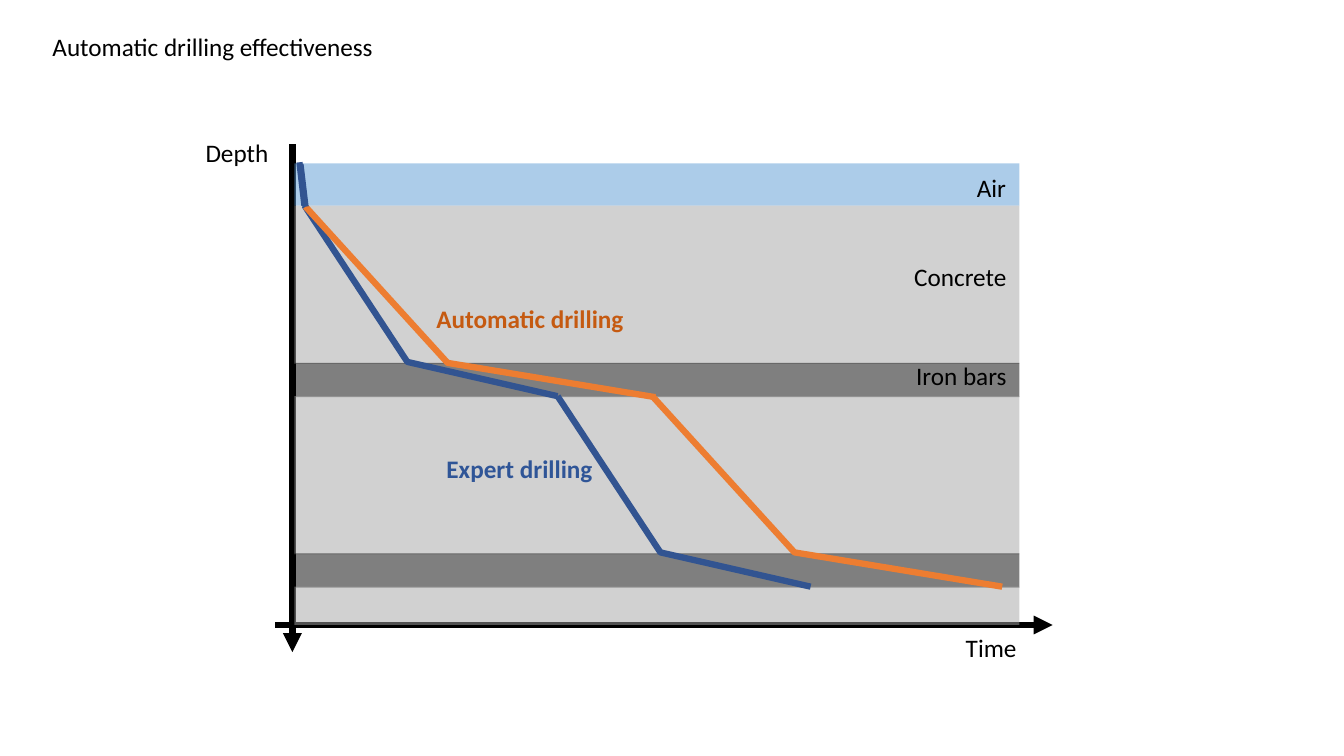
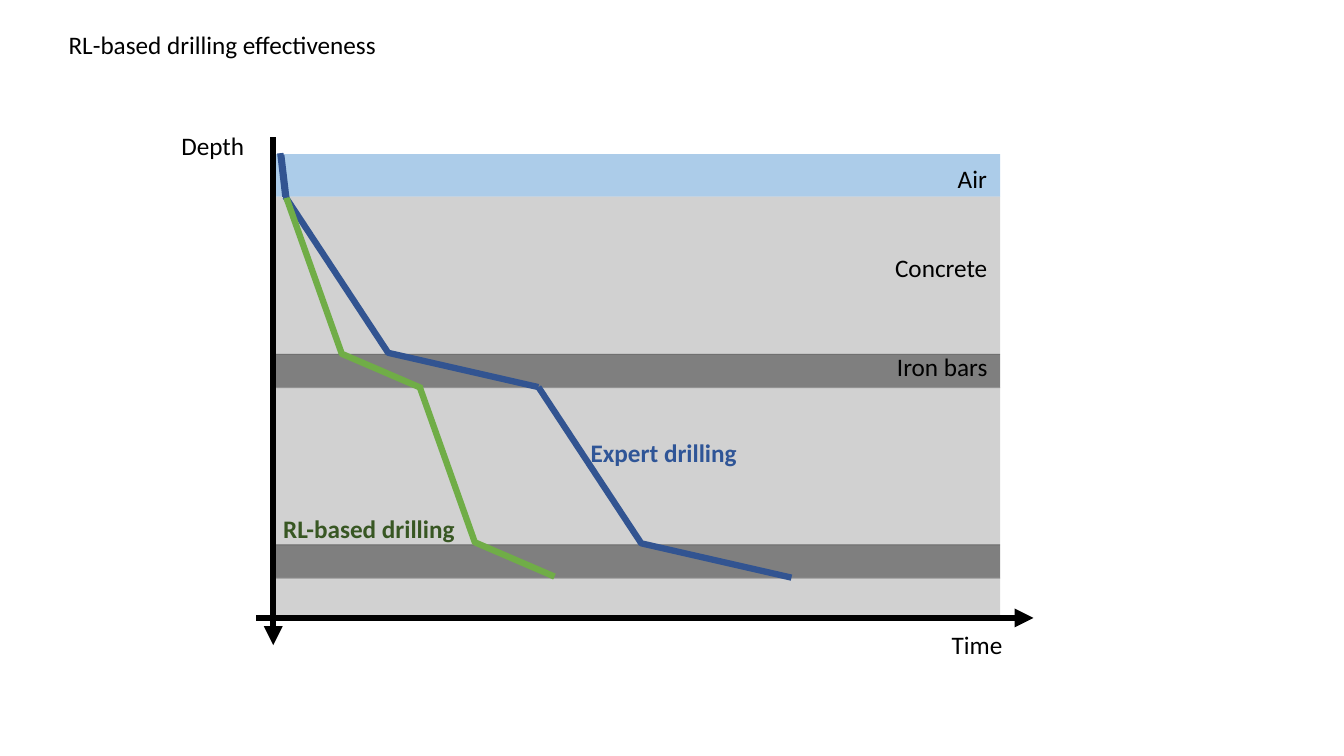
from dataclasses import dataclass
from typing import NamedTuple

from lxml.etree import SubElement
from pptx import Presentation
from pptx.dml.color import RGBColor
from pptx.enum.shapes import MSO_CONNECTOR, MSO_SHAPE
from pptx.enum.text import MSO_ANCHOR, MSO_AUTO_SIZE, PP_ALIGN
from pptx.oxml.ns import qn
from pptx.slide import Slide
from pptx.text.text import TextFrame
from pptx.util import Inches, Pt


# Theme
@dataclass(frozen=True)
class Theme:
    font: str = "Calibri"
    text_size: float = 18
    line_width: float = 4.5
    opacity: int = 50
    ink: str = "000000"
    air: str = "5B9BD5"
    concrete: str = "A5A5A5"
    iron: str = "000000"
    expert: str = "325491"
    expert_text: str = "2F5597"
    automatic: str = "ED7D31"
    automatic_text: str = "C55A11"
    learned: str = "70AD47"
    learned_text: str = "385723"


THEME = Theme()


class Point(NamedTuple):
    x: float
    y: float


class Layer(NamedTuple):
    top: float
    height: float
    color: str


class Label(NamedTuple):
    text: str
    at: Point
    width: float
    color: str = THEME.ink
    bold: bool = False
    align: PP_ALIGN = PP_ALIGN.LEFT


class Track(NamedTuple):
    """A drilling curve: where each run starts, and the time spent per material."""
    color: str
    entry: Point
    runs: tuple[Point, Point]
    concrete_time: float
    iron_time: float


@dataclass(frozen=True)
class DrillingChart:
    title: Label
    origin: Point
    tracks: tuple[Track, ...]
    labels: tuple[Label, ...]
    axis_drop: float = 0
    axes_in_front: bool = False


# Ground section, measured from the top left corner of the plot
PLOT_WIDTH = 7.19
LABEL_HEIGHT = 0.4
CONCRETE_DEPTH, IRON_DEPTH = 1.55, 0.34
LAYERS = (
    Layer(0, 0.42, THEME.air),
    Layer(0.42, 1.57, THEME.concrete),
    Layer(1.98, 0.34, THEME.iron),
    Layer(2.31, 1.57, THEME.concrete),
    Layer(3.87, 0.34, THEME.iron),
    Layer(4.2, 0.38, THEME.concrete),
)
LAYER_LABELS = (
    Label("Air", Point(6.67, 0.04), 0.49),
    Label("Concrete", Point(6.04, 0.92), 1.13, align=PP_ALIGN.CENTER),
    Label("Iron bars", Point(6.06, 1.91), 1.11, align=PP_ALIGN.CENTER),
)
AXES = (
    (Point(-0.02, -0.19), Point(-0.02, 4.85)),
    (Point(-0.19, 4.58), Point(7.52, 4.58)),
)

# Drilling curves, measured from the same corner
EXPERT = Track(THEME.expert, Point(0.05, -0.01),
               (Point(0.1, 0.42), Point(2.61, 2.31)), 1.02, 1.49)
AUTOMATIC = Track(THEME.automatic, Point(0.06, 0.01),
                  (Point(0.11, 0.43), Point(3.55, 2.31)), 1.41, 2.06)
LEARNED = Track(THEME.learned, Point(0.06, 0.01),
                (Point(0.11, 0.43), Point(1.43, 2.3)), 0.55, 0.79)

CHARTS = (
    DrillingChart(
        title=Label("Automatic drilling effectiveness", Point(0.42, 0.26), 3.42),
        origin=Point(2.92, 1.62),
        tracks=(EXPERT, AUTOMATIC),
        labels=(
            Label("Time", Point(9.48, 6.22), 0.71),
            Label("Depth", Point(1.94, 1.31), 0.83),
            Label("Expert drilling", Point(4.33, 4.45), 1.66,
                  THEME.expert_text, True),
            Label("Automatic drilling", Point(4.23, 2.96), 2.07,
                  THEME.automatic_text, True),
        ),
    ),
    DrillingChart(
        title=Label("RL-based drilling effectiveness", Point(0.58, 0.24), 3.29),
        origin=Point(2.73, 1.53),
        tracks=(EXPERT, LEARNED),
        labels=(
            Label("Time", Point(9.34, 6.19), 0.71),
            Label("Depth", Point(1.7, 1.24), 0.83),
            Label("Expert drilling", Point(5.76, 4.29), 1.66,
                  THEME.expert_text, True),
            Label("RL-based drilling", Point(2.71, 5.04), 1.93,
                  THEME.learned_text, True),
        ),
        axis_drop=0.02,
        axes_in_front=True,
    ),
)


def shift(point: Point, by: Point) -> Point:
    return Point(point.x + by.x, point.y + by.y)


# Text
def write(frame: TextFrame, label: Label) -> None:
    frame.text = label.text
    frame_format = {"word_wrap": False, "vertical_anchor": MSO_ANCHOR.TOP,
                    "auto_size": MSO_AUTO_SIZE.SHAPE_TO_FIT_TEXT}
    for name, value in frame_format.items():
        setattr(frame, name, value)
    paragraph = frame.paragraphs[0]
    paragraph.alignment = label.align
    font = paragraph.runs[0].font
    font_format = {"name": THEME.font, "size": Pt(THEME.text_size), "bold": label.bold}
    for name, value in font_format.items():
        setattr(font, name, value)
    font.color.rgb = RGBColor.from_string(label.color)


def add_title(slide: Slide, label: Label) -> None:
    title = slide.shapes.title
    place = {"left": label.at.x, "top": label.at.y,
             "width": label.width, "height": LABEL_HEIGHT}
    for name, value in place.items():
        setattr(title, name, Inches(value))
    write(title.text_frame, label)


def add_label(slide: Slide, label: Label, origin: Point = Point(0, 0)) -> None:
    at = shift(label.at, origin)
    box = slide.shapes.add_textbox(Inches(at.x), Inches(at.y),
                                   Inches(label.width), Inches(LABEL_HEIGHT))
    write(box.text_frame, label)


# Layers and lines
def add_layer(slide: Slide, layer: Layer, origin: Point) -> None:
    band = slide.shapes.add_shape(
        MSO_SHAPE.RECTANGLE, Inches(origin.x), Inches(origin.y + layer.top),
        Inches(PLOT_WIDTH), Inches(layer.height))
    band.shadow.inherit = False
    band.line.fill.background()
    band.fill.solid()
    band.fill.fore_color.rgb = RGBColor.from_string(layer.color)
    tint = band._element.spPr.find(qn("a:solidFill"))[0]
    SubElement(tint, qn("a:alpha"), val=str(THEME.opacity * 1000))


def add_line(slide: Slide, start: Point, end: Point, color: str,
             arrow: bool = False) -> None:
    line = slide.shapes.add_connector(
        MSO_CONNECTOR.STRAIGHT, *(Inches(value) for value in (*start, *end)))
    line.line.width = Pt(THEME.line_width)
    line.line.color.rgb = RGBColor.from_string(color)
    properties = line._element.spPr
    if arrow:
        SubElement(properties.find(qn("a:ln")), qn("a:tailEnd"), type="triangle")
    SubElement(properties, qn("a:effectLst"))


def add_run(slide: Slide, track: Track, start: Point) -> None:
    bend = shift(start, Point(track.concrete_time, CONCRETE_DEPTH))
    end = shift(bend, Point(track.iron_time, IRON_DEPTH))
    outline = slide.shapes.build_freeform(Inches(start.x), Inches(start.y))
    outline.add_line_segments(
        [(Inches(point.x), Inches(point.y)) for point in (bend, end)], close=False)
    curve = outline.convert_to_shape()
    curve.shadow.inherit = False
    curve.fill.background()
    curve.line.width = Pt(THEME.line_width)
    curve.line.color.rgb = RGBColor.from_string(track.color)


def add_track(slide: Slide, track: Track, origin: Point) -> None:
    starts = [shift(start, origin) for start in track.runs]
    for start in starts:
        add_run(slide, track, start)
    add_line(slide, starts[0], shift(track.entry, origin), THEME.expert)


def add_axes(slide: Slide, chart: DrillingChart) -> None:
    corner = shift(chart.origin, Point(0, chart.axis_drop))
    for start, end in AXES:
        add_line(slide, shift(start, corner), shift(end, corner), THEME.ink, arrow=True)


# Slides
def add_chart_slide(deck: Presentation, chart: DrillingChart) -> None:
    slide = deck.slides.add_slide(deck.slide_layouts.get_by_name("Title Only"))
    add_title(slide, chart.title)
    if not chart.axes_in_front:
        add_axes(slide, chart)
    for layer in LAYERS:
        add_layer(slide, layer, chart.origin)
    for label in LAYER_LABELS:
        add_label(slide, label, chart.origin)
    for track in chart.tracks:
        add_track(slide, track, chart.origin)
    for label in chart.labels:
        add_label(slide, label)
    if chart.axes_in_front:
        add_axes(slide, chart)


deck = Presentation()
deck.slide_width, deck.slide_height = Inches(13.33), Inches(7.5)
for drilling_chart in CHARTS:
    add_chart_slide(deck, drilling_chart)
deck.save("out.pptx")
